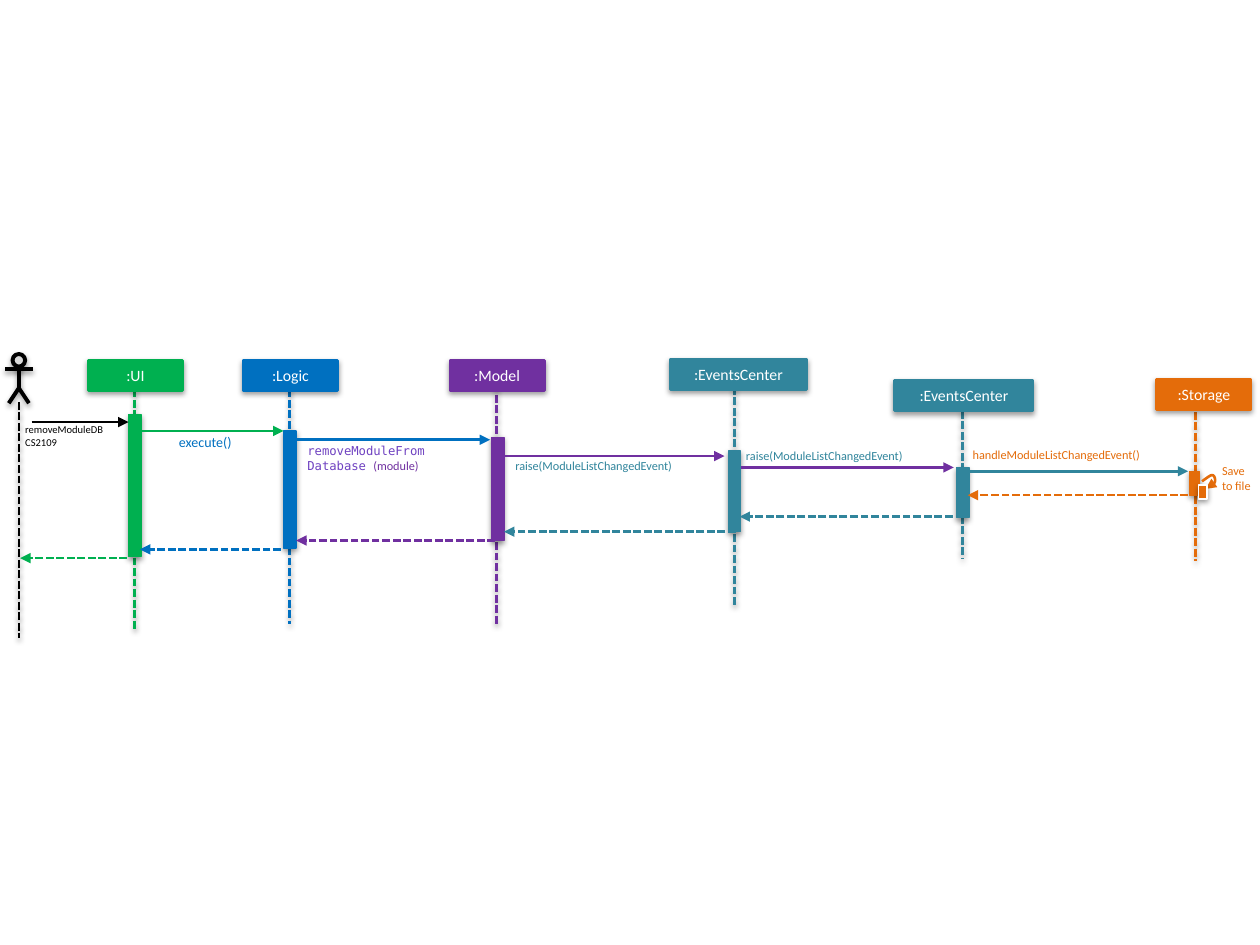
from lxml.etree import SubElement
from pptx import Presentation
from pptx.dml.color import RGBColor
from pptx.enum.dml import MSO_LINE
from pptx.enum.shapes import MSO_CONNECTOR, MSO_SHAPE
from pptx.enum.text import MSO_ANCHOR, PP_ALIGN
from pptx.oxml.ns import qn
from pptx.util import Pt

PX = 9144  # EMU per px, 100 px to the inch
BLACK = RGBColor(0x00, 0x00, 0x00)
WHITE = RGBColor(0xFF, 0xFF, 0xFF)
GREY = RGBColor(0xD9, 0xD9, 0xD9)
GREEN = RGBColor(0x00, 0xB0, 0x50)
BLUE = RGBColor(0x00, 0x70, 0xC0)
PURPLE = RGBColor(0x70, 0x30, 0xA0)
VIOLET = RGBColor(0x6F, 0x42, 0xC1)
TEAL = RGBColor(0x31, 0x85, 0x9C)
ORANGE = RGBColor(0xE4, 0x6C, 0x0A)
SANS, MONO = "Calibri", "DejaVu Sans Mono"
HEAD_H, BAR_W = 24, 10

# name, colour, head (left, top, width), line (x, top, end), bar (left, top, width, height)
ACTORS = [
    (":UI", GREEN, (70, 286, 75), (107, 309, 499), (102, 329, BAR_W, 113)),
    (":Logic", BLUE, (193, 286, 75), (230, 309, 495), (225, 342, BAR_W, 93)),
    (":Model", PURPLE, (357, 286, 75), (394, 305, 495), (390, 347, BAR_W, 82)),
    (":EventsCenter", TEAL, (532, 285, 108), (583, 307, 481), (578, 358, BAR_W, 64)),
    (":Storage", ORANGE, (918, 301, 75), (949, 327, 445), (944, 374, 8, 19)),
    (":EventsCenter", TEAL, (710, 302, 110), (764, 326, 444), (759, 371, BAR_W, 40)),
]

# colour, start x, end x, y
CALLS = [
    (BLACK, 25, 102, 335), (GREEN, 106, 225, 342), (BLUE, 231, 389, 349),
    (PURPLE, 400, 575, 362), (PURPLE, 588, 757, 371), (TEAL, 768, 943, 374),
]
REPLIES = [
    (ORANGE, 943, 768, 393), (TEAL, 756, 587, 410), (TEAL, 584, 400, 422),
    (PURPLE, 393, 235, 429), (BLUE, 223, 111, 436), (GREEN, 101, 16, 443),
]

# box, then paragraphs of runs (text, size, font, colour)
RAISE = [[("raise(ModuleListChangedEvent)", 7, SANS, TEAL)]]
LABELS = [
    ((20, 336, 81, 31), [[("removeModuleDB CS2109", 6, SANS, BLACK)]]),
    ((142, 344, 97, 10), [[("execute()", 8, SANS, BLUE)]]),
    ((244, 352, 136, 8), [[("removeModuleFrom", 7, MONO, VIOLET)],
                          [("Database ", 7, MONO, VIOLET),
                           ("(module)", 7, SANS, PURPLE)]]),
    ((409, 364, 167, 10), RAISE),
    ((592, 356, 171, 10), RAISE),
    ((772, 355, 182, 10), [[("handleModuleListChangedEvent()", 7, SANS, ORANGE)]]),
    ((970, 368, 37, 29), [[("Save", 7, SANS, ORANGE)],
                          [("to file", 7, SANS, ORANGE)]]),
]

# Self call: each curve is start, two controls, end
LOOP = [
    ((954, 382), (958, 379), (961, 377), (962, 377)),
    ((962, 377), (964, 377), (965, 381), (964, 383)),
    ((964, 383), (963, 385), (960, 386), (957, 388)),
]


def add_shadow(item):
    fx = item._element.spPr.find(qn("a:effectLst"))
    cast = SubElement(fx, qn("a:outerShdw"), blurRad=str(Pt(3.1)),
                      dist=str(Pt(1.6)), dir="5400000", rotWithShape="0")
    tint = SubElement(cast, qn("a:srgbClr"), val="000000")
    SubElement(tint, qn("a:alpha"), val="38000")


def style_line(line, color, width):
    line.color.rgb = color
    line.width = Pt(width)


def add_tip(item):
    SubElement(item.line._get_or_add_ln(), qn("a:tailEnd"), type="triangle")


def add_run(para, text, size, font, color):
    run = para.add_run()
    run.text = text
    run.font.size = Pt(size)
    run.font.name = font
    run.font.color.rgb = color


def add_box(slide, kind, box, fill, edge, width):
    shape = slide.shapes.add_shape(kind, *(n * PX for n in box))
    shape.shadow.inherit = False
    shape.fill.solid()
    shape.fill.fore_color.rgb = fill
    style_line(shape.line, edge, width)
    add_shadow(shape)
    return shape


def add_line(slide, start, end, color, width=1.5, dash=False):
    line = slide.shapes.add_connector(
        MSO_CONNECTOR.STRAIGHT, *(n * PX for n in start + end))
    SubElement(line._element.spPr, qn("a:effectLst"))
    style_line(line.line, color, width)
    if dash:
        line.line.dash_style = MSO_LINE.SQUARE_DOT
    return line


def add_curve(slide, points, color, width):
    first, *rest = [(x * PX, y * PX) for x, y in points]
    pen = slide.shapes.build_freeform(*(round(n) for n in first))
    pen.add_line_segments(rest, close=False)
    shape = pen.convert_to_shape()
    shape.shadow.inherit = False
    shape.fill.background()
    style_line(shape.line, color, width)
    return shape


def add_label(slide, box, paras):
    frame = slide.shapes.add_textbox(*(n * PX for n in box)).text_frame
    frame.word_wrap = True
    frame.margin_left = frame.margin_right = 0
    frame.margin_top = frame.margin_bottom = 0
    for i, runs in enumerate(paras):
        para = frame.add_paragraph() if i else frame.paragraphs[0]
        for run in runs:
            add_run(para, *run)


def add_actor(slide, name, color, head, life, bar):
    # The lifeline lies behind the head, so the name stays clear
    x, top, end = life
    add_shadow(add_line(slide, (x, top), (x, end), color, dash=True))
    box = add_box(slide, MSO_SHAPE.RECTANGLE, head + (HEAD_H,), color, color, 1.5)
    frame = box.text_frame
    frame.vertical_anchor = MSO_ANCHOR.MIDDLE
    para = frame.paragraphs[0]
    para.alignment = PP_ALIGN.CENTER
    add_run(para, name, 9, SANS, WHITE)
    add_box(slide, MSO_SHAPE.RECTANGLE, bar, color, color, 0.75)


def add_user(slide):
    add_box(slide, MSO_SHAPE.FLOWCHART_CONNECTOR, (10, 281, 10, 10), GREY, BLACK, 2.25)
    for start, end in (((15, 291), (15, 308)), ((4, 293), (26, 293))):
        add_shadow(add_line(slide, start, end, BLACK, 2.25))
    add_shadow(add_curve(slide, [(7, 320), (15, 308), (23, 320)], BLACK, 2.25))
    add_shadow(add_line(slide, (15, 319), (15, 506), BLACK, dash=True))


def bend(curve, t):
    parts = ((1 - t) ** 3, 3 * t * (1 - t) ** 2, 3 * t * t * (1 - t), t ** 3)
    return tuple(sum(p * n for p, n in zip(parts, axis)) for axis in zip(*curve))


def add_loop(slide, steps=6):
    points = [LOOP[0][0]]
    points += [bend(c, i / steps) for c in LOOP for i in range(1, steps + 1)]
    add_tip(add_curve(slide, points, ORANGE, 1.5))
    add_box(slide, MSO_SHAPE.RECTANGLE, (951, 385, 7, 11), ORANGE, WHITE, 0.75)


def main():
    deck = Presentation()
    deck.slide_width, deck.slide_height = 1000 * PX, 750 * PX
    slide = deck.slides.add_slide(deck.slide_layouts[6])

    # Participants with their lifelines
    add_user(slide)
    for actor in ACTORS:
        add_actor(slide, *actor)

    # Messages
    for group, dash in ((CALLS, False), (REPLIES, True)):
        for color, start, end, y in group:
            add_tip(add_line(slide, (start, y), (end, y), color, dash=dash))
    add_loop(slide)

    # Message text
    for box, paras in LABELS:
        add_label(slide, box, paras)
    deck.save("out.pptx")


if __name__ == "__main__":
    main()
